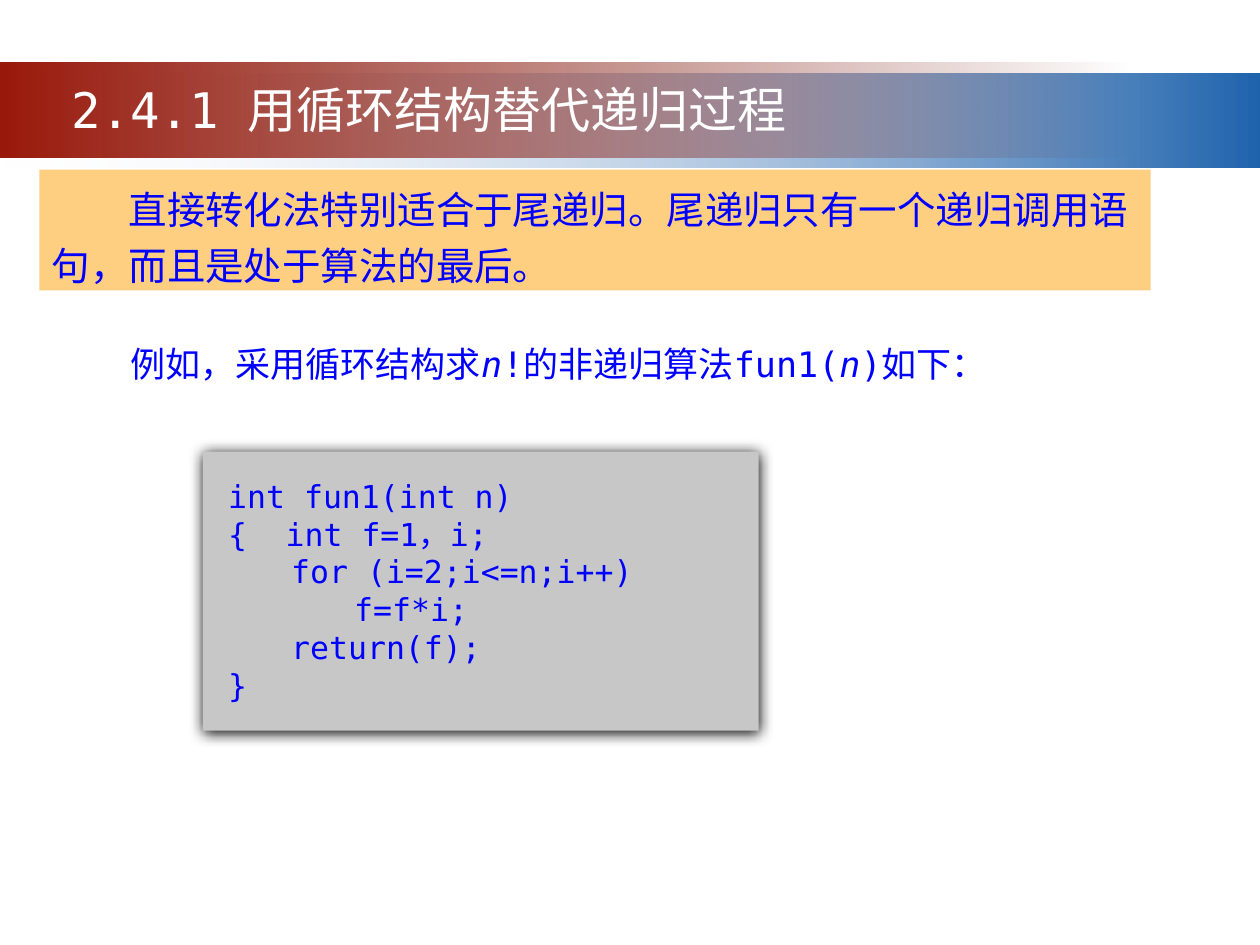
from dataclasses import dataclass
from typing import NamedTuple

from lxml.etree import SubElement
from pptx import Presentation
from pptx.dml.color import RGBColor
from pptx.enum.shapes import MSO_SHAPE
from pptx.enum.text import MSO_ANCHOR, MSO_AUTO_SIZE, PP_ALIGN
from pptx.oxml.ns import qn
from pptx.util import Pt


@dataclass(frozen=True)
class Theme:
    font: str = "DejaVu Sans Mono"
    ink: str = "0000FF"
    white: str = "FFFFFF"
    note: str = "FECE81"
    code: str = "C7C7C7"
    shade: str = "000000"
    pale: str = "F1F2F7"
    blue: str = "1F63AD"
    red: str = "99190B"
    dark: str = "6D1208"
    title_size: float = 28
    note_size: float = 22
    lead_size: float = 20
    code_size: float = 18


class Box(NamedTuple):
    left: float
    top: float
    width: float
    height: float


class Run(NamedTuple):
    text: str
    italic: bool = False


class Stop(NamedTuple):
    color: str
    clear: bool = False


class Band(NamedTuple):
    box: Box
    stops: tuple[Stop, Stop]


class Style(NamedTuple):
    size: float
    color: str
    align: PP_ALIGN = PP_ALIGN.LEFT
    pitch: float | None = None
    pad: tuple[float, float, float, float] = (7.2, 3.6, 7.2, 3.6)


THEME = Theme()

BANDS = [
    Band(Box(0, 42, 720, 54), (Stop(THEME.pale, True), Stop(THEME.blue))),
    Band(Box(0, 36, 648, 54), (Stop(THEME.red), Stop(THEME.dark, True))),
]
LEAD = [
    Run("例如，采用循环结构求"),
    Run("n", True),
    Run("!的非递归算法fun1("),
    Run("n", True),
    Run(")如下："),
]
CODE = [
    "int fun1(int n)",
    "{　 int f=1，i;",
    "　　for (i=2;i<=n;i++)",
    "　　　　f=f*i;",
    "　　return(f);",
    "}",
]
NOTE = "　　直接转化法特别适合于尾递归。尾递归只有一个递归调用语句，而且是处于算法的最后。"
TITLE = "2.4.1 用循环结构替代递归过程"


def add_rect(slide, box: Box, color: str | None = None):
    rect = slide.shapes.add_shape(MSO_SHAPE.RECTANGLE, *map(Pt, box))
    rect.shadow.inherit = False
    rect.line.fill.background()
    if color:
        rect.fill.solid()
        rect.fill.fore_color.rgb = RGBColor.from_string(color)
    return rect


def add_band(slide, band: Band) -> None:
    rect = add_rect(slide, band.box)
    rect.fill.gradient()
    rect.fill.gradient_angle = 0
    for place, (mark, stop) in enumerate(zip(rect.fill.gradient_stops, band.stops)):
        mark.position = place
        mark.color.rgb = RGBColor.from_string(stop.color)
    for node, stop in zip(rect._element.spPr.iter(qn("a:srgbClr")), band.stops):
        if stop.clear:
            SubElement(node, qn("a:alpha"), val="0")


def add_shadow(shape) -> None:
    """Put a soft shadow just below the shape."""
    effects = shape._element.spPr.find(qn("a:effectLst"))
    shadow = SubElement(
        effects, qn("a:outerShdw"), blurRad=str(Pt(8.5)), dist=str(Pt(1)),
        dir="5400000", algn="ctr", rotWithShape="0",
    )
    SubElement(shadow, qn("a:srgbClr"), val=THEME.shade)


def write(shape, lines: list[list[Run]], style: Style) -> None:
    frame = shape.text_frame
    left, top, right, bottom = map(Pt, style.pad)
    values = {
        "word_wrap": True,
        "auto_size": MSO_AUTO_SIZE.NONE,
        "vertical_anchor": MSO_ANCHOR.TOP,
        "margin_left": left,
        "margin_top": top,
        "margin_right": right,
        "margin_bottom": bottom,
    }
    for name, value in values.items():
        setattr(frame, name, value)
    for row, runs in enumerate(lines):
        para = frame.add_paragraph() if row else frame.paragraphs[0]
        para.alignment = style.align
        if style.pitch:
            para.line_spacing = Pt(style.pitch)
        for part in runs:
            run = para.add_run()
            run.text = part.text
            looks = {"name": THEME.font, "size": Pt(style.size), "italic": part.italic}
            for name, value in looks.items():
                setattr(run.font, name, value)
            run.font.color.rgb = RGBColor.from_string(style.color)


def main() -> None:
    deck = Presentation()
    deck.slide_width, deck.slide_height = Pt(720), Pt(540)
    slide = deck.slides.add_slide(deck.slide_layouts[5])

    for band in BANDS:
        add_band(slide, band)

    lead = slide.shapes.add_textbox(*map(Pt, Box(67.5, 192, 601, 32)))
    write(lead, [LEAD], Style(THEME.lead_size, THEME.ink))

    code = add_rect(slide, Box(116, 258, 317.5, 159.5), THEME.code)
    add_shadow(code)
    pad = (14.4, 14.4, 7.2, 14.4)
    write(code, [[Run(line)] for line in CODE],
          Style(THEME.code_size, THEME.ink, pad=pad))

    note = add_rect(slide, Box(22.5, 97, 635, 69), THEME.note)
    write(note, [[Run(NOTE)]], Style(THEME.note_size, THEME.ink, pitch=32))

    title = slide.shapes.title
    slide.shapes._spTree.append(title._element)  # bring in front of the bands
    for name, value in Box(30, 42, 430, 41)._asdict().items():
        setattr(title, name, Pt(value))
    write(title, [[Run(TITLE)]],
          Style(THEME.title_size, THEME.white, PP_ALIGN.CENTER))

    deck.save("out.pptx")


if __name__ == "__main__":
    main()
